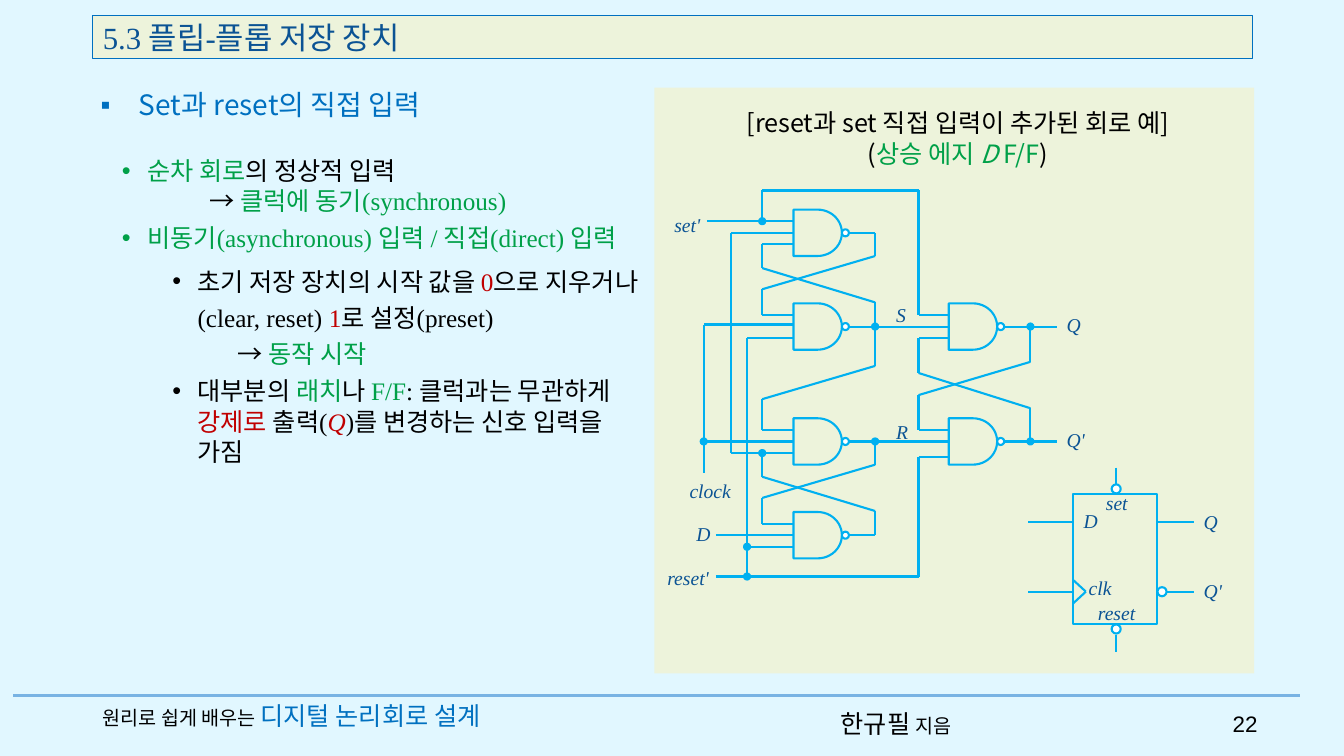
from itertools import pairwise
from pptx import Presentation
from pptx.dml.color import RGBColor
from pptx.enum.shapes import MSO_CONNECTOR as Connector, MSO_SHAPE as Shape
from pptx.enum.text import MSO_ANCHOR as Anchor, MSO_AUTO_SIZE as AutoSize, PP_ALIGN as Align
from pptx.oxml.ns import qn
from pptx.util import Inches, Pt
from lxml.etree import SubElement

SERIF, SANS = "Times New Roman", "Noto Sans CJK KR"
BLACK, GREEN, RED = "000000", "00A048", "C00000"
BLUE, NAVY, CYAN, CREAM = "0070C0", "0B5394", "00B0F0", "EDF3DB"

# Each text is a list of (words, colour, further run format).
TITLE = [("5.3 플립-플롭 저장 장치", NAVY)]
HEADING = [("Set과 reset의 직접 입력", BLUE)]
CAPTION = [
    [("[reset과 set 직접 입력이 추가된 회로 예]", BLACK)],
    [("(", BLACK), ("상승 에지 ", GREEN), ("D", GREEN, {"italic": True}),
     (" F/F", GREEN), (")", BLACK)],
]
BOOK = [("원리로 쉽게 배우는 ", BLACK, {"size": 14}), ("디지털 논리회로 설계", BLUE)]
AUTHOR = [("한규필 ", BLACK), ("지음", BLACK, {"size": 14})]
PAGE_NUMBER = [("22", BLACK)]

# Body: left margin, bullet, line spacing, space before, runs
BODY = [
    (0.75, "•", 1, 5, [("순차 회로", GREEN), ("의 정상적 입력", BLACK)]),
    (1.37, None, 1, 0, [("→ ", BLACK), ("클럭에 동기(synchronous)", GREEN)]),
    (0.75, "•", 1, 5, [("비동기(asynchronous) 입력 / 직접(direct) 입력", GREEN)]),
    (1.25, "•", 1.2, 5, [("초기 저장 장치의 시작 값을 ", BLACK), ("0", RED),
                         ("으로 지우거나(clear, reset) ", BLACK), ("1", RED),
                         ("로 설정(preset)", BLACK)]),
    (1.65, None, 1.2, 0, [("→ ", BLACK), ("동작 시작", GREEN)]),
    (1.25, "•", 1, 5, [("대부분의 ", BLACK), ("래치", GREEN), ("나 ", BLACK), ("F/F", GREEN),
                       (": 클럭과는 무관하게 ", BLACK), ("강제로", RED), (" 출력(", BLACK),
                       ("Q", RED, {"italic": True}), (")를 변경하는 신호 입력을 가짐", BLACK)]),
]

# Circuit grid: gate rows (centre lines), gate columns (left edges), bus columns
TOP, SET, RESET, LOW = 2.31, 3.24, 4.38, 5.31
INNER, OUTER = 7.87, 9.41
GATE_W, GATE_H, PIN = 0.48, 0.46, 0.115
CLOCK_X, FEED_X, CLEAR_X = 6.98, 7.25, 7.41
IN_X, OUT_X, MID_X, Q_X = 7.56, 8.68, 9.11, 10.22
ROOF, FLOOR = 1.89, 5.72
BUBBLE, DOT = 0.07, 0.06

GATES = [(INNER, TOP), (INNER, SET), (INNER, RESET), (INNER, LOW), (OUTER, SET), (OUTER, RESET)]
WIRES = [
    # set'
    [(7.01, TOP - PIN), (INNER, TOP - PIN)],
    [(IN_X, TOP - PIN), (IN_X, ROOF), (MID_X, ROOF), (MID_X, SET - PIN), (OUTER, SET - PIN)],
    # upper input latch
    [(INNER, TOP + PIN), (IN_X, TOP + PIN), (IN_X, 2.66), (OUT_X, 3), (OUT_X, 3.63),
     (IN_X, 3.96), (IN_X, RESET - PIN), (INNER, RESET - PIN)],
    [(INNER + GATE_W, TOP), (OUT_X, TOP), (OUT_X, 2.54), (IN_X, 2.87),
     (IN_X, SET - PIN), (INNER, SET - PIN)],
    # lower input latch
    [(INNER, TOP), (FEED_X, TOP), (FEED_X, RESET + PIN), (INNER, RESET + PIN)],
    [(IN_X, RESET + PIN), (IN_X, 4.73), (OUT_X, 5.07), (OUT_X, LOW), (INNER + GATE_W, LOW)],
    [(OUT_X, RESET), (OUT_X, 4.61), (IN_X, 4.94), (IN_X, LOW - PIN), (INNER, LOW - PIN)],
    # S and R into the output latch
    [(INNER + GATE_W, SET), (OUTER, SET)],
    [(INNER + GATE_W, RESET), (OUTER, RESET)],
    [(OUTER + GATE_W, SET), (10.48, SET)],
    [(OUTER + GATE_W, RESET), (10.48, RESET)],
    [(OUTER, SET + PIN), (MID_X, SET + PIN), (MID_X, 3.7), (Q_X, 4.05), (Q_X, RESET)],
    [(Q_X, SET), (Q_X, 3.59), (MID_X, 3.92), (MID_X, RESET - PIN), (OUTER, RESET - PIN)],
    # clock, D and reset'
    [(INNER, SET - 0.02), (CLOCK_X, SET - 0.02), (CLOCK_X, 4.69)],
    [(CLOCK_X, RESET), (INNER, RESET)],
    [(7.1, LOW), (INNER, LOW)],
    [(INNER, SET + PIN), (CLEAR_X, SET + PIN), (CLEAR_X, FLOOR)],
    [(CLEAR_X, LOW + PIN), (INNER, LOW + PIN)],
    [(7.1, FLOOR), (MID_X, FLOOR), (MID_X, 4.53), (OUTER, 4.53)],
]
JOINTS = [(IN_X, TOP - PIN), (OUT_X, SET), (OUT_X, RESET), (IN_X, RESET + PIN),
          (CLOCK_X, RESET), (Q_X, SET), (Q_X, RESET), (CLEAR_X, LOW + PIN), (CLEAR_X, FLOOR)]

# Block symbol of the flip-flop
LEFT, UPPER, WIDTH, HEIGHT = 10.64, 4.9, 0.84, 1.29
RIGHT, LOWER = LEFT + WIDTH, UPPER + HEIGHT
DATA_Y, CLK_Y, DIRECT_X = 5.18, 5.87, 11.07
SYMBOL_WIRES = [
    [(10.2, DATA_Y), (LEFT, DATA_Y)],
    [(10.2, CLK_Y), (LEFT, CLK_Y)],
    [(RIGHT, DATA_Y), (11.84, DATA_Y)],
    [(RIGHT + 0.09, CLK_Y), (11.84, CLK_Y)],
    [(LEFT, CLK_Y - 0.12), (LEFT + 0.13, CLK_Y), (LEFT, CLK_Y + 0.12)],
    [(DIRECT_X, 4.64), (DIRECT_X, 4.81)],
    [(DIRECT_X, 6.3), (DIRECT_X, 6.47)],
]
SYMBOL_BUBBLES = [(RIGHT + 0.045, CLK_Y), (DIRECT_X, UPPER - 0.05), (DIRECT_X, LOWER + 0.05)]

SIGNALS = [
    ("set'", 6.59, 2.06, 0.46), ("clock", 6.74, 4.7, 0.61), ("D", 6.81, 5.13, 0.34),
    ("reset'", 6.52, 5.57, 0.61), ("S", 8.79, 2.96, 0.3), ("R", 8.79, 4.12, 0.32),
    ("Q", 10.48, 3.06, 0.34), ("Q'", 10.48, 4.2, 0.38),
    ("D", 10.65, 5, 0.34), ("clk", 10.7, 5.66, 0.43), ("set", 10.87, 4.82, 0.42),
    ("reset", 10.79, 5.91, 0.58), ("Q", 11.84, 5.01, 0.34), ("Q'", 11.84, 5.69, 0.39),
]


def color(value):
    return RGBColor.from_string(value)


def write(para, runs, font=SERIF, size=18, align=Align.LEFT, spacing=1, before=0,
          margin=0, bullet=None, hang=0.25):
    para.alignment, para.line_spacing, para.space_before = align, spacing, Pt(before)
    para.space_after = Pt(0)
    for words, tint, *extra in runs:
        look = {"size": size, "italic": False, **(extra[0] if extra else {})}
        span = para.add_run()
        span.text = words
        span.font.name, span.font.size = font, Pt(look["size"])
        span.font.italic, span.font.color.rgb = look["italic"], color(tint)
        SubElement(span.font._element, qn("a:ea"), typeface=SANS)
    props = para._p.get_or_add_pPr()
    props.set("marL", str(Inches(margin)))
    props.set("indent", str(Inches(-hang) if bullet else 0))
    if bullet:
        SubElement(props, qn("a:buFont"), typeface="Arial")
        SubElement(props, qn("a:buChar"), char=bullet)
    else:
        SubElement(props, qn("a:buNone"))


def place(shape, left, top, width, height):
    shape.left, shape.top = Inches(left), Inches(top)
    shape.width, shape.height = Inches(width), Inches(height)


def prepare(frame, wrap=True, anchor=Anchor.TOP):
    frame.word_wrap, frame.vertical_anchor = wrap, anchor
    frame.auto_size = AutoSize.NONE


def label(area, *lines, wrap=True, anchor=Anchor.TOP, **style):
    frame = page.shapes.add_textbox(*map(Inches, area)).text_frame
    prepare(frame, wrap, anchor)
    for number, runs in enumerate(lines):
        write(frame.add_paragraph() if number else frame.paragraphs[0], runs, **style)


def block(kind, left, top, width, height, fill, line=None):
    shape = page.shapes.add_shape(kind, *map(Inches, (left, top, width, height)))
    shape.shadow.inherit = False
    shape.fill.solid()
    shape.fill.fore_color.rgb = color(fill)
    if line:
        shape.line.color.rgb, shape.line.width = color(line), Pt(1.5)
    else:
        shape.line.fill.background()


def circle(x, y, size, fill):
    block(Shape.OVAL, x - size / 2, y - size / 2, size, size, fill, CYAN)


def wire(points, tint=CYAN, width=1.5):
    for start, end in pairwise(points):
        line = page.shapes.add_connector(Connector.STRAIGHT, *map(Inches, start + end))
        line.line.color.rgb, line.line.width = color(tint), Pt(width)
        SubElement(line._element.spPr, qn("a:effectLst"))


deck = Presentation()
deck.slide_width, deck.slide_height = Inches(13.33), Inches(7.5)
page = deck.slides.add_slide(deck.slide_layouts[1])
page.background.fill.solid()
page.background.fill.fore_color.rgb = color("E1F7FF")

title, body = page.placeholders
place(title, 0.92, 0.15, 11.5, 0.43)
title.fill.solid()
title.fill.fore_color.rgb = color(CREAM)
title.line.color.rgb, title.line.width = color(BLUE), Pt(0.75)
prepare(title.text_frame, anchor=Anchor.MIDDLE)
write(title.text_frame.paragraphs[0], TITLE, size=22)

place(body, 0.61, 1.49, 5.87, 5.02)
prepare(body.text_frame)
for number, (margin, bullet, spacing, before, runs) in enumerate(BODY):
    para = body.text_frame.add_paragraph() if number else body.text_frame.paragraphs[0]
    write(para, runs, margin=margin, bullet=bullet, spacing=spacing, before=before)

wire([(0.13, 6.9), (12.89, 6.9)], "78B3E3", 2.5)
label((0.92, 6.9, 4.63, 0.4), BOOK)
label((8.24, 6.98, 1.53, 0.4), AUTHOR, font=SANS)
label((11.95, 6.98, 0.62, 0.4), PAGE_NUMBER, font="Arial", size=16, align=Align.RIGHT,
      anchor=Anchor.MIDDLE)
label((0.9, 0.82, 5.5, 0.44), HEADING, font=SANS, size=20, margin=0.38, bullet="▪", hang=0.38)

block(Shape.RECTANGLE, 6.49, 0.87, 5.95, 5.81, CREAM)
label((7.04, 1.02, 4.92, 0.71), *CAPTION, font=SANS, align=Align.CENTER)

block(Shape.RECTANGLE, LEFT, UPPER, WIDTH, HEIGHT, CREAM, CYAN)
for points in WIRES + SYMBOL_WIRES:
    wire(points)
for x, y in GATES:
    block(Shape.FLOWCHART_DELAY, x, y - GATE_H / 2, GATE_W, GATE_H, CREAM, CYAN)
    circle(x + GATE_W + BUBBLE / 2, y, BUBBLE, "FFFFFF")
for x, y in JOINTS:
    circle(x, y, DOT, CYAN)
for x, y in SYMBOL_BUBBLES:
    circle(x, y, 0.09, "FFFFFF")
for words, left, top, width in SIGNALS:
    label((left, top, width, 0.33), [(words, NAVY, {"italic": True})], size=14, wrap=False)

deck.save("out.pptx")
